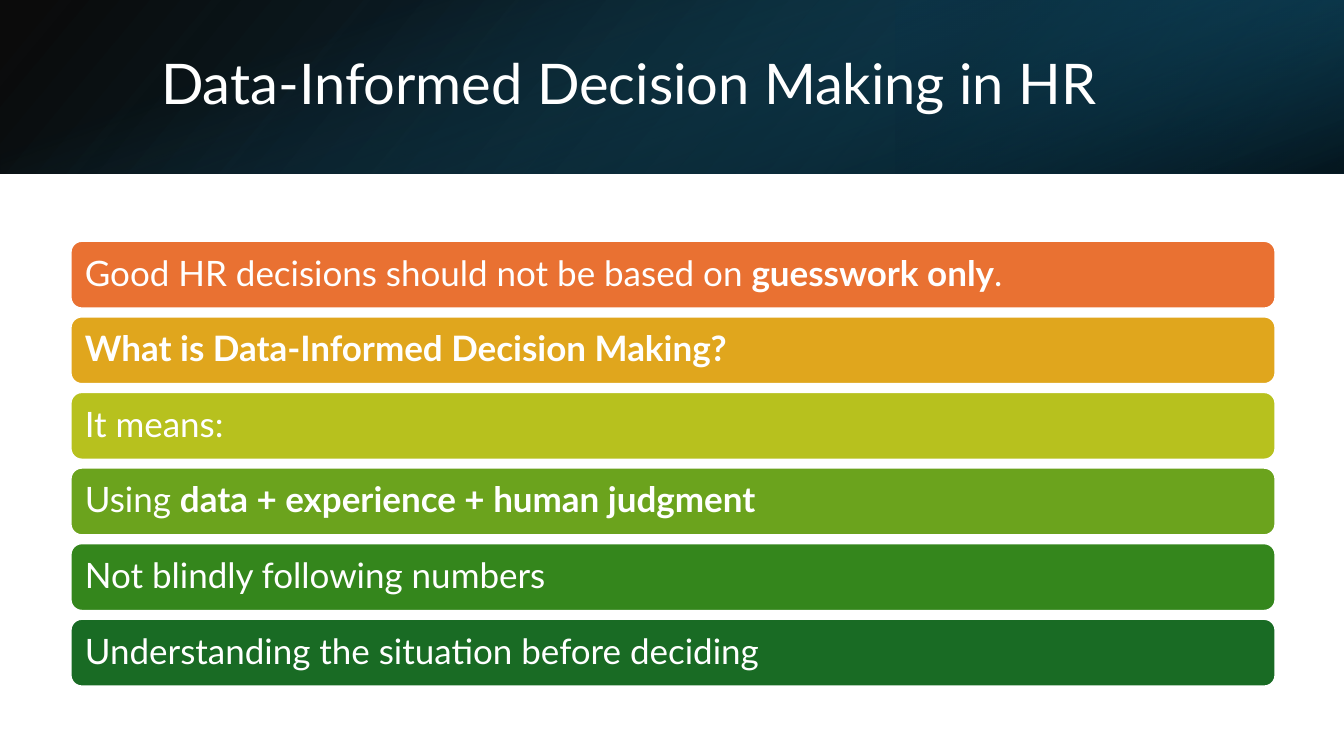
from lxml import etree
from pptx import Presentation
from pptx.dml.color import RGBColor
from pptx.enum import shapes, text
from pptx.oxml import ns
from pptx.util import Inches, Pt

WHITE = RGBColor(0xFF, 0xFF, 0xFF)
ORANGE = RGBColor(0xE9, 0x71, 0x32)
AMBER = RGBColor(0xE0, 0xA6, 0x1D)
LIME = RGBColor(0xB7, 0xC1, 0x1E)
LEAF = RGBColor(0x6B, 0xA3, 0x1D)
GREEN = RGBColor(0x34, 0x86, 0x1C)
FOREST = RGBColor(0x19, 0x6B, 0x24)
BLACK = RGBColor(0x00, 0x00, 0x00)
NAVY = RGBColor(0x0B, 0x30, 0x41)
DEEP_BLUE = RGBColor(0x10, 0x48, 0x62)
TEAL = RGBColor(0x15, 0x60, 0x82)
FONT = "Lato"
WIDTH, HEADER_HEIGHT = 13.33, 1.72


def fill_gradient(shape, stops, angle):
    """Fill with (position %, colour, opacity %) stops; angle runs clockwise."""
    properties = shape._element.spPr
    gradient = etree.Element(ns.qn("a:gradFill"), rotWithShape="1")
    stop_list = etree.SubElement(gradient, ns.qn("a:gsLst"))
    for position, color, opacity in stops:
        stop = etree.SubElement(stop_list, ns.qn("a:gs"), pos=str(position * 1000))
        value = etree.SubElement(stop, ns.qn("a:srgbClr"), val=str(color))
        etree.SubElement(value, ns.qn("a:alpha"), val=str(opacity * 1000))
    etree.SubElement(gradient, ns.qn("a:lin"), ang=str(angle * 60000), scaled="0")
    properties.find(ns.qn("a:prstGeom")).addnext(gradient)


def write_line(frame, parts, size):
    """Write (text, bold) parts as one left-aligned line."""
    frame.word_wrap = True
    frame.vertical_anchor = text.MSO_ANCHOR.MIDDLE
    paragraph = frame.paragraphs[0]
    paragraph.alignment = text.PP_ALIGN.LEFT
    paragraph.line_spacing = 0.9
    for words, bold in parts:
        run = paragraph.add_run()
        run.text = words
        run.font.name = FONT
        run.font.size = Pt(size)
        run.font.bold = bold
        run.font.color.rgb = WHITE


presentation = Presentation()
presentation.slide_width = Inches(WIDTH)
presentation.slide_height = Inches(7.5)
slide = presentation.slides.add_slide(presentation.slide_layouts[6])

# Header band: three layered gradients
middle = (WIDTH - HEADER_HEIGHT) / 2
layers = [
    ((0, 0, WIDTH, HEADER_HEIGHT), 0, True,
     [(0, BLACK, 96), (100, DEEP_BLUE, 100)], 140),
    ((WIDTH * 2 / 3, 0, WIDTH / 3, HEADER_HEIGHT), 180, True,
     [(19, NAVY, 68), (100, TEAL, 79)], 320),
    ((middle, -middle, HEADER_HEIGHT, WIDTH), 90, False,
     [(23, TEAL, 0), (99, BLACK, 74)], 340),
]
for box, rotation, flipped, stops, angle in layers:
    layer = slide.shapes.add_shape(
        shapes.MSO_SHAPE.RECTANGLE, *[Inches(length) for length in box])
    layer.shadow.inherit = False
    layer.line.fill.background()
    layer.rotation = rotation
    if flipped:
        layer._element.spPr.xfrm.set("flipH", "1")
    fill_gradient(layer, stops, angle)

# Title
title = slide.shapes.add_textbox(Inches(1.5), Inches(0.38), Inches(10.98), Inches(0.96))
write_line(title.text_frame, [("Data-Informed Decision Making in HR", False)], 40)

# Stacked message bars
bars = [
    (ORANGE, [("Good HR decisions should not be based on ", False),
              ("guesswork only", True), (".", False)]),
    (AMBER, [("What is Data-Informed Decision Making?", True)]),
    (LIME, [("It means:", False)]),
    (LEAF, [("Using ", False), ("data + experience + human judgment", True)]),
    (GREEN, [("Not blindly following numbers", False)]),
    (FOREST, [("Understanding the situation before deciding", False)]),
]
for index, (color, parts) in enumerate(bars):
    bar = slide.shapes.add_shape(
        shapes.MSO_SHAPE.ROUNDED_RECTANGLE,
        Inches(0.7), Inches(2.39 + 0.75 * index), Inches(11.95), Inches(0.67))
    bar.shadow.inherit = False
    bar.fill.solid()
    bar.fill.fore_color.rgb = color
    bar.line.color.rgb = WHITE
    bar.line.width = Pt(1.5)
    frame = bar.text_frame
    frame.margin_left = frame.margin_right = Inches(0.11)
    write_line(frame, parts, 25)

presentation.save("out.pptx")
